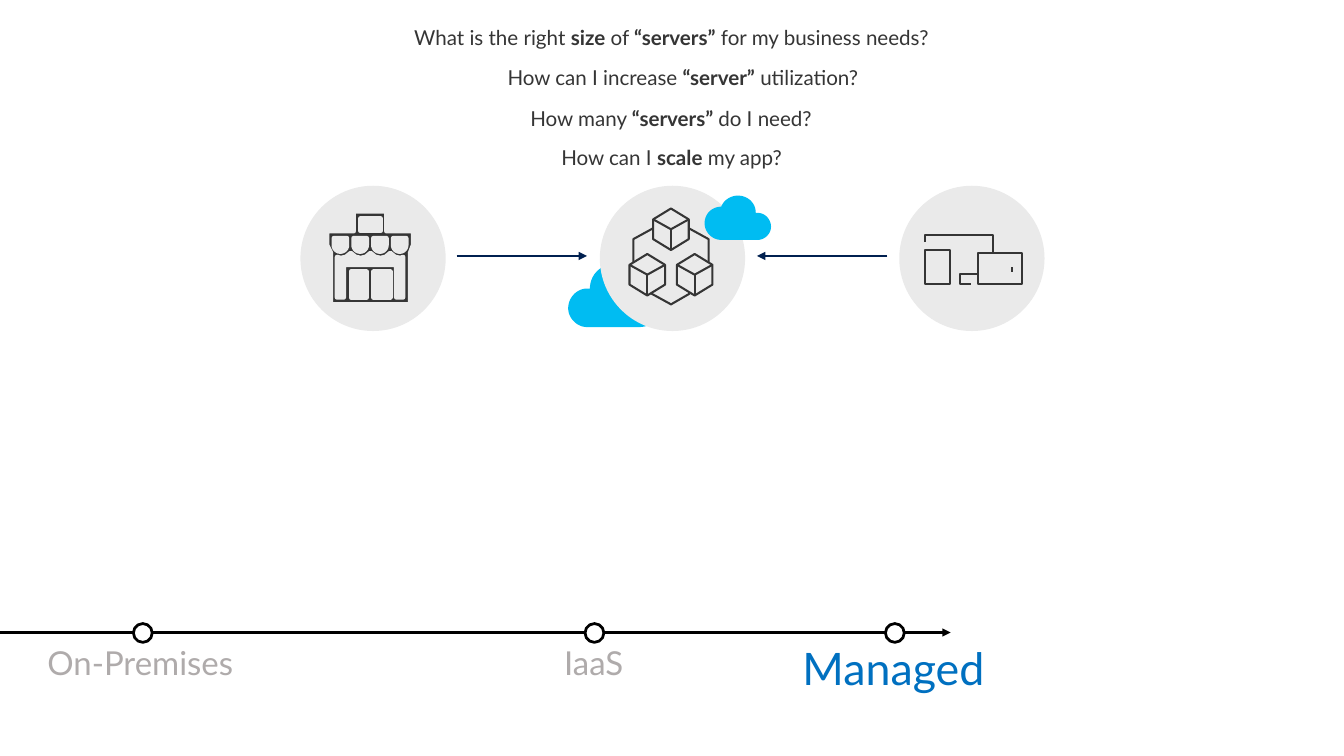
"""Build a slide on the move from on-premises to managed servers."""
import math

import lxml.etree
import pptx
import pptx.dml.color
import pptx.enum.shapes
import pptx.enum.text
import pptx.oxml.ns
import pptx.util
from pptx.util import Inches

FONT = "Lato"
INK, GREY, CYAN, NAVY, BLACK = "353535", "EAEAEA", "00BCF2", "002050", "000000"
OVAL = pptx.enum.shapes.MSO_SHAPE.OVAL
RECTANGLE = pptx.enum.shapes.MSO_SHAPE.RECTANGLE

# Every second piece of a question is bold.
QUESTIONS = [
    ((3.68, 0.2, 6.23, 0.36), ["What is the right ", "size", " of ", "“servers”", " for my business needs?"]),
    ((4.67, 0.61, 4.48, 0.36), ["How can I increase", " “server”", " utilization?"]),
    ((4.68, 1.02, 4.22, 0.36), ["How many ", "“servers” ", "do I need?"]),
    ((5.54, 1.42, 2.51, 0.35), ["How can I ", "scale", " my app?"]),
]
STAGES = [
    ("On-Premises", (0.28, 6.39, 2.33, 0.69), 24, "AFABAB", 1.35),
    ("IaaS", (5.51, 6.39, 1.03, 0.69), 24, "AFABAB", 5.92),
    ("Managed", (7.92, 6.39, 2.32, 0.82), 32.6, "0070C0", 8.96),
]
TIMELINE = ((0, 6.4), (9.62, 6.4))
ARROWS = [((4.62, 2.59), (5.94, 2.59)), ((8.98, 2.59), (7.66, 2.59))]

CLOUD_START = (0.22, 0.25)
CLOUD_CURVES = [
    ((0.22, 0.11), (0.33, 0), (0.48, 0)),
    ((0.58, 0), (0.68, 0.06), (0.72, 0.16)),
    ((0.85, 0.16), (0.96, 0.26), (0.96, 0.4)),
    ((0.96, 0.53), (0.85, 0.64), (0.72, 0.64)),
    ((0.72, 0.64), (0.19, 0.64), (0.19, 0.64)),
    ((0.09, 0.64), (0, 0.55), (0, 0.45)),
    ((0, 0.34), (0.09, 0.25), (0.19, 0.25)),
]
CLOUD_WIDTH = 0.96

CUBE_CENTERS = [(7.03, 2.78), (6.55, 2.78), (6.79, 2.32)]
CUBE_LINKS = [
    [(6.98, 2.97), (6.79, 3.08), (6.59, 2.97)],
    [(6.97, 2.31), (7.17, 2.42), (7.17, 2.65)],
    [(6.41, 2.65), (6.41, 2.42), (6.61, 2.31)],
]
SHOP_OUTLINE = [
    (3.35, 3.08), (4.15, 3.08), (4.15, 2.56), (4.18, 2.48), (4.18, 2.34), (3.91, 2.34),
    (3.91, 2.14), (3.58, 2.14), (3.58, 2.34), (3.31, 2.34), (3.31, 2.48), (3.35, 2.56),
]
SHOP_OPENINGS = [(3.55, 2.75, 3.71, 3.01), (3.78, 2.75, 3.95, 3.01), (3.65, 2.21, 3.85, 2.34)]
SHOP_WALL = [(4.08, 2.6), (4.08, 3.01), (4.01, 3.01), (4.01, 2.68), (3.48, 2.68), (3.48, 3.01), (3.41, 3.01)]
DEVICE_SCREENS = [(9.36, 2.53, 0.25, 0.34), (9.9, 2.56, 0.44, 0.31)]
DEVICE_EDGES = [
    [(9.9, 2.77), (9.71, 2.77), (9.71, 2.87), (9.83, 2.87)],
    [(9.36, 2.45), (9.36, 2.38), (10.05, 2.38), (10.05, 2.56)],
]


def color(value):
    return pptx.dml.color.RGBColor.from_string(value)


def paint(shape, fill=None, line=None, width=1.5):
    shape.shadow.inherit = False
    if fill:
        shape.fill.solid()
        shape.fill.fore_color.rgb = color(fill)
    else:
        shape.fill.background()
    if line:
        shape.line.color.rgb = color(line)
        shape.line.width = pptx.util.Pt(width)
    else:
        shape.line.fill.background()


def add_preset(shapes, preset, box, **style):
    paint(shapes.add_shape(preset, *map(Inches, box)), **style)


def add_outline(shapes, contours, close=True, **style):
    points = [[(Inches(x), Inches(y)) for x, y in contour] for contour in contours]
    builder = shapes.build_freeform(*points[0][0])
    for number, contour in enumerate(points):
        if number:
            builder.move_to(*contour[0])
        builder.add_line_segments(contour[1:], close=close)
    paint(builder.convert_to_shape(), **style)


def add_line(shapes, start, end, line=INK, width=1.5, arrow=False):
    connector = shapes.add_connector(
        pptx.enum.shapes.MSO_CONNECTOR.STRAIGHT, *map(Inches, (*start, *end)))
    connector.line.color.rgb = color(line)
    connector.line.width = pptx.util.Pt(width)
    properties = connector._element.spPr
    if arrow:
        outline = properties.find(pptx.oxml.ns.qn("a:ln"))
        lxml.etree.SubElement(outline, pptx.oxml.ns.qn("a:tailEnd"), type="triangle")
    lxml.etree.SubElement(properties, pptx.oxml.ns.qn("a:effectLst"))


def add_text(shapes, box, pieces, size, text_color, wrap=True):
    frame = shapes.add_textbox(*map(Inches, box)).text_frame
    frame.word_wrap = wrap
    frame.auto_size = pptx.enum.text.MSO_AUTO_SIZE.SHAPE_TO_FIT_TEXT
    paragraph = frame.paragraphs[0]
    for number, piece in enumerate(pieces):
        run = paragraph.add_run()
        run.text = piece
        if number % 2:
            run.font.bold = True
    paragraph.font.name = FONT
    paragraph.font.size = pptx.util.Pt(size)
    paragraph.font.color.rgb = color(text_color)
    return frame


def add_cloud(shapes, left, top, scale=1.0, mirrored=False):
    points, start, steps = [CLOUD_START], CLOUD_START, 16
    for first, second, end in CLOUD_CURVES:
        for step in range(1, steps + 1):
            t = step / steps
            weights = ((1 - t) ** 3, 3 * t * (1 - t) ** 2, 3 * t ** 2 * (1 - t), t ** 3)
            corners = (start, first, second, end)
            points.append(tuple(sum(w * c[axis] for w, c in zip(weights, corners)) for axis in (0, 1)))
        start = end
    placed = [(left + scale * (CLOUD_WIDTH - x if mirrored else x), top + scale * y) for x, y in points]
    add_outline(shapes, [placed], fill=CYAN)


def add_icon_group(slide, left):
    shapes = slide.shapes.add_group_shape().shapes
    add_preset(shapes, OVAL, (left, 1.88, 1.47, 1.47), fill=GREY)
    return shapes


def draw_cubes(slide):
    shapes = add_icon_group(slide, 6.07)
    for x, y in CUBE_CENTERS:
        left, right = x - 0.18, x + 0.18
        top, bottom = y - 0.1, y + 0.1
        add_outline(shapes, [[(left, top), (x, y - 0.21), (right, top), (right, bottom),
                              (x, y + 0.21), (left, bottom)]], line=INK)
        add_outline(shapes, [[(right, top), (x, y), (left, top)]], close=False, line=INK)
        add_line(shapes, (x, y), (x, y + 0.21))
    for link in CUBE_LINKS:
        add_outline(shapes, [link], close=False, line=INK)


def draw_shop(slide):
    shapes = add_icon_group(slide, 3.04)
    contours = [SHOP_OUTLINE]
    for left, top, right, bottom in SHOP_OPENINGS:
        contours.append([(left, top), (right, top), (right, bottom), (left, bottom)])
    radius = 0.067
    for number in range(4):
        center = 3.445 + 0.2 * number
        arc = [(center + radius * math.cos(math.pi * step / 12),
                2.48 + radius * math.sin(math.pi * step / 12)) for step in range(13)]
        contours.append([(center - radius, 2.41), (center + radius, 2.41), *arc])
    underside = [(3.41, 2.6), (3.45, 2.61)]
    for number in range(3):
        valley = 3.55 + 0.2 * number
        underside += [(valley - 0.05, 2.6), (valley, 2.56), (valley + 0.05, 2.6), (valley + 0.1, 2.61)]
    contours.append(SHOP_WALL + underside)
    add_outline(shapes, contours, fill=INK, line=GREY, width=3.25)


def draw_devices(slide):
    shapes = add_icon_group(slide, 9.1)
    for box in DEVICE_SCREENS:
        add_preset(shapes, RECTANGLE, box, line=INK)
    add_line(shapes, (10.24, 2.75), (10.24, 2.7), width=2)
    for edge in DEVICE_EDGES:
        add_outline(shapes, [edge], close=False, line=INK)


def draw_timeline(slide):
    for name, box, size, text_color, _ in STAGES:
        frame = add_text(slide.shapes, box, [name], size, text_color, wrap=False)
        frame.margin_left = frame.margin_right = Inches(0.2)
        frame.margin_top = frame.margin_bottom = Inches(0.16)
        frame.paragraphs[0].line_spacing = 0.9
        frame.paragraphs[0].space_after = pptx.util.Pt(6)
    add_line(slide.shapes, *TIMELINE, line=BLACK, width=2, arrow=True)
    for *_, marker_left in STAGES:
        add_preset(slide.shapes, OVAL, (marker_left, 6.31, 0.19, 0.19), fill="FFFFFF", line=BLACK, width=2)


def main():
    presentation = pptx.Presentation()
    presentation.slide_width, presentation.slide_height = Inches(13.6), Inches(7.65)
    slide = presentation.slides.add_slide(presentation.slide_layouts[6])
    draw_timeline(slide)
    add_cloud(slide.shapes, 5.75, 2.67)
    draw_cubes(slide)
    draw_shop(slide)
    draw_devices(slide)
    for start, end in ARROWS:
        add_line(slide.shapes, start, end, line=NAVY, width=2, arrow=True)
    add_cloud(slide.shapes, 7.13, 1.98, scale=0.7, mirrored=True)
    for box, pieces in QUESTIONS:
        frame = add_text(slide.shapes, box, pieces, 15, INK)
        frame.paragraphs[0].alignment = pptx.enum.text.PP_ALIGN.CENTER
    presentation.save("out.pptx")


if __name__ == "__main__":
    main()
